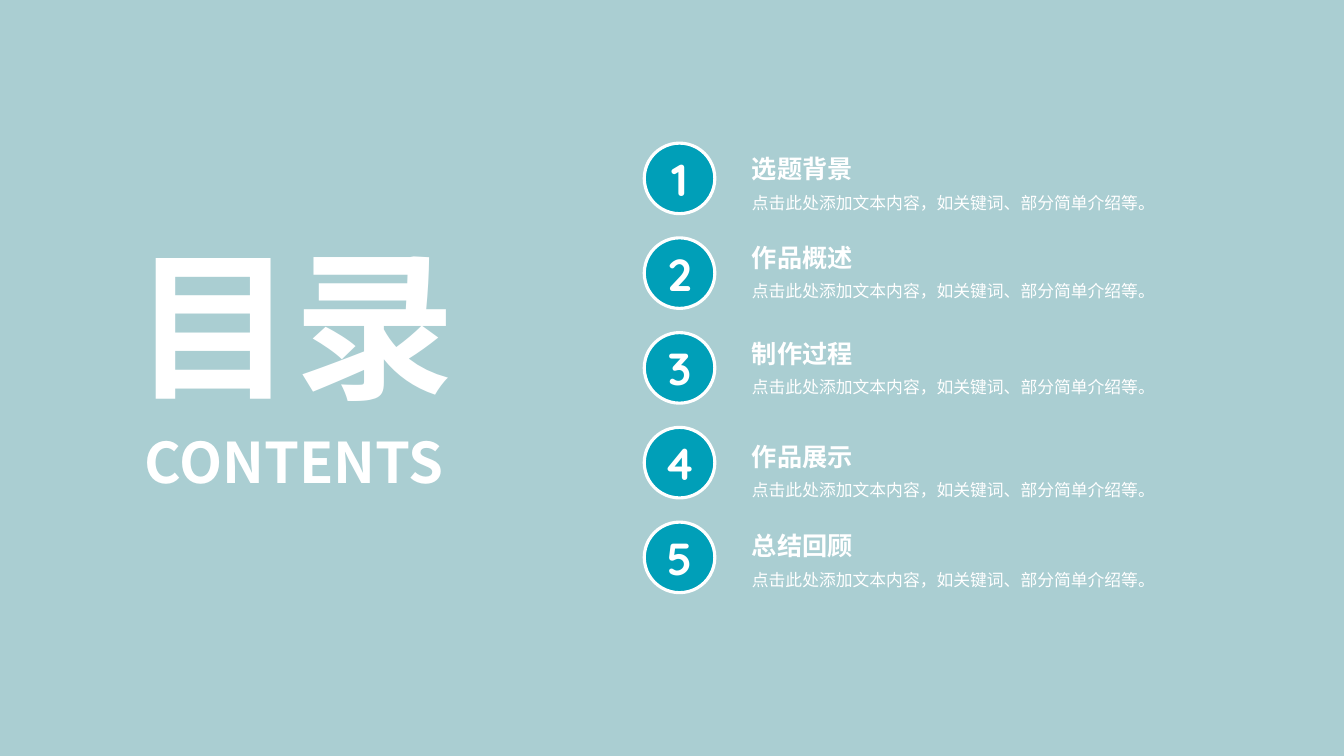
from dataclasses import dataclass

from lxml import etree
from pptx import Presentation
from pptx import util as u
from pptx.dml.color import RGBColor
from pptx.enum import shapes, text
from pptx.oxml.ns import qn


@dataclass(frozen=True)
class Theme:
    """Colours, fonts and type sizes of the deck."""
    background: RGBColor = RGBColor(0xAA, 0xCE, 0xD2)
    accent: RGBColor = RGBColor(0x00, 0x9F, 0xB8)
    light: RGBColor = RGBColor(0xFF, 0xFF, 0xFF)
    text_font: str = "Noto Sans CJK SC"
    number_font: str = "Quicksand"
    title_size: int = 115
    subtitle_size: int = 40
    heading_size: int = 18
    detail_size: int = 12
    number_size: int = 32
    ring_width: float = 2.25


class ContentsSlide:
    """Holds the theme and the slide being built."""

    def __init__(self, deck, theme):
        """Add a slide with title and subtitle on a plain background."""
        self.theme = theme
        self.slide = deck.slides.add_slide(deck.slide_layouts[0])
        fill = self.slide.background.fill
        fill.solid()
        fill.fore_color.rgb = theme.background

    def set_words(self, shape, words, size, bold=True, align=text.PP_ALIGN.LEFT, font=None):
        """Put one formatted paragraph, centred vertically, in a shape."""
        frame = shape.text_frame
        frame.text = words
        frame.word_wrap = True
        frame.auto_size = text.MSO_AUTO_SIZE.NONE
        frame.vertical_anchor = text.MSO_ANCHOR.MIDDLE
        paragraph = frame.paragraphs[0]
        paragraph.alignment = align
        style = paragraph.font
        style.name = font or self.theme.text_font
        style.size = u.Pt(size)
        style.bold = bold
        style.color.rgb = self.theme.light
        defaults = paragraph._p.pPr.find(qn("a:defRPr"))
        east_asian = etree.Element(qn("a:ea"), typeface=style.name)
        defaults.find(qn("a:latin")).addnext(east_asian)
        return paragraph

    def space(self, paragraph):
        """Apply the spacing shared by all wording outside the badges."""
        paragraph.line_spacing = 0.9
        paragraph.space_before = u.Pt(10)

    def heading(self, placeholder, words, top, height, size):
        """Move and format a large centred placeholder."""
        placeholder.left, placeholder.top = u.Inches(1.03), u.Inches(top)
        placeholder.width, placeholder.height = u.Inches(3.78), u.Inches(height)
        self.space(self.set_words(placeholder, words, size, align=text.PP_ALIGN.CENTER))

    def label(self, words, top, height, size, bold):
        """Add one line of an entry in the right column."""
        box = self.slide.shapes.add_textbox(
            u.Inches(7.36), u.Inches(top), u.Inches(4.13), u.Inches(height))
        self.space(self.set_words(box, words, size, bold))

    def badge(self, number, top):
        """Add a ringed circle with a section number."""
        circle = self.slide.shapes.add_shape(
            shapes.MSO_SHAPE.OVAL,
            u.Inches(6.39), u.Inches(top), u.Inches(0.7), u.Inches(0.7))
        circle.shadow.inherit = False
        circle.fill.solid()
        circle.fill.fore_color.rgb = self.theme.accent
        circle.line.color.rgb = self.theme.light
        circle.line.width = u.Pt(self.theme.ring_width)
        frame = circle.text_frame
        frame.margin_left = frame.margin_right = 0
        frame.margin_top = frame.margin_bottom = 0
        self.set_words(circle, str(number), self.theme.number_size,
                       align=text.PP_ALIGN.CENTER, font=self.theme.number_font)


SECTIONS = [("选题背景", 1.51), ("作品概述", 2.39), ("制作过程", 3.34),
            ("作品展示", 4.36), ("总结回顾", 5.25)]
DETAIL = "点击此处添加文本内容，如关键词、部分简单介绍等。"
HEADING_HEIGHT, DETAIL_HEIGHT = 0.37, 0.28
FIRST_BADGE, BADGE_STEP = 1.42, 0.94


def main():
    """Build the contents slide and save it."""
    deck = Presentation()
    deck.slide_width, deck.slide_height = u.Inches(13.33), u.Inches(7.5)
    theme = Theme()
    contents = ContentsSlide(deck, theme)
    title, subtitle = contents.slide.placeholders
    contents.heading(title, "目录", 2.38, 1.87, theme.title_size)
    contents.heading(subtitle, "CONTENTS", 4.25, 0.73, theme.subtitle_size)
    for index, (section, top) in enumerate(SECTIONS):
        contents.label(section, top, HEADING_HEIGHT, theme.heading_size, True)
        contents.label(DETAIL, top + HEADING_HEIGHT, DETAIL_HEIGHT,
                       theme.detail_size, False)
        contents.badge(index + 1, FIRST_BADGE + index * BADGE_STEP)
    deck.save("out.pptx")


main()
